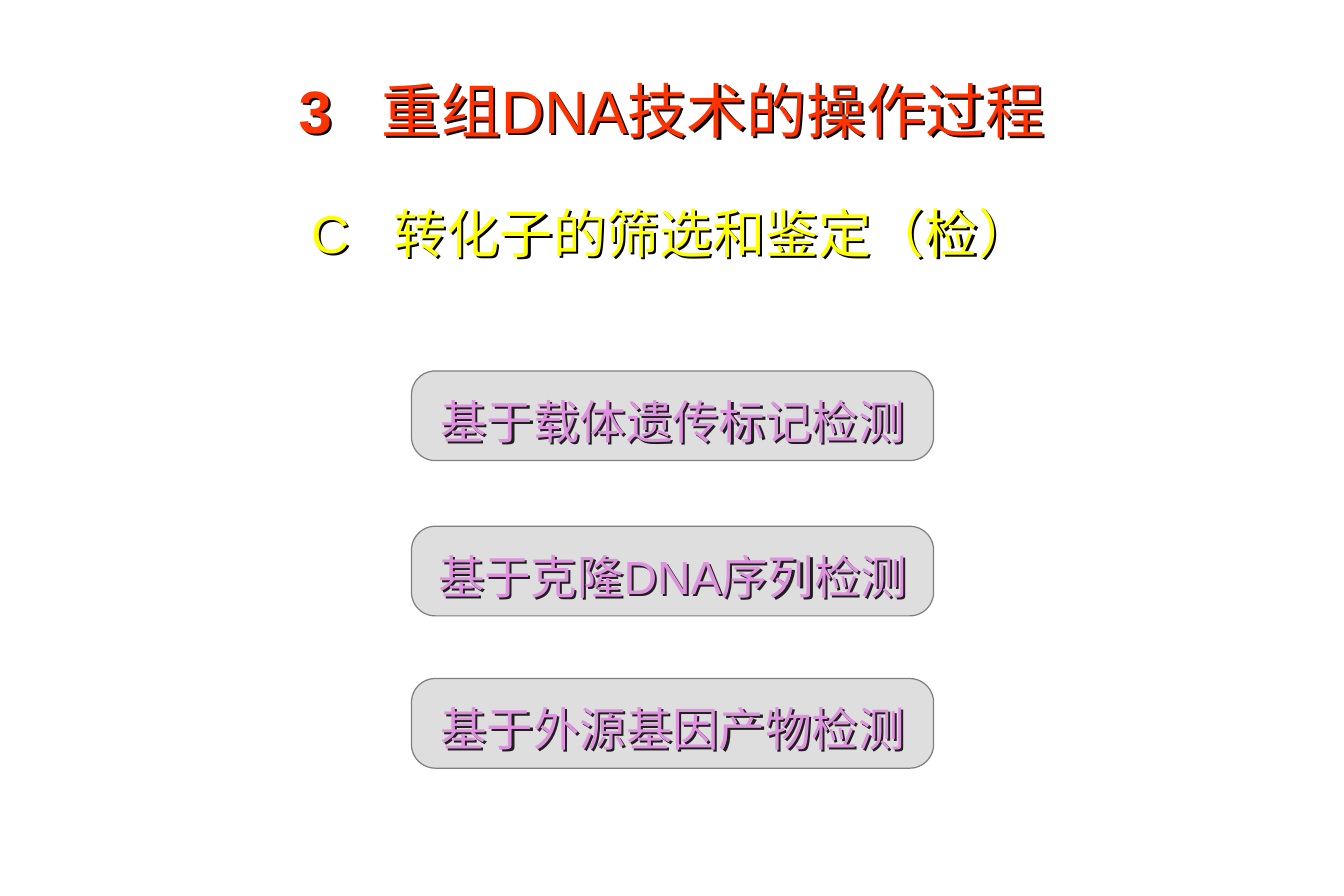
from typing import NamedTuple

from lxml import etree
from pptx import Presentation
from pptx.dml.color import RGBColor
from pptx.enum.shapes import MSO_SHAPE
from pptx.enum.text import MSO_ANCHOR, MSO_AUTO_SIZE, PP_ALIGN
from pptx.oxml.ns import qn
from pptx.util import Inches, Pt

RED = RGBColor(0xFF, 0x33, 0x00)
YELLOW = RGBColor(0xFF, 0xFF, 0x00)
PINK = RGBColor(0xFF, 0x99, 0xFF)
GREY = RGBColor(0x7F, 0x7F, 0x7F)

# Grid of 45 columns by 30 rows
CELL = Inches(0.25)
COLS, ROWS = 45, 30


class Area(NamedTuple):
    col: float
    row: float
    cols: float
    rows: float

    def emu(self) -> list[int]:
        return [round(n * CELL) for n in self]


class Run(NamedTuple):
    text: str
    font: str = "Arial"
    bold: bool = False
    tracking: float = 0  # extra letter spacing in points


class Method(NamedTuple):
    text: str
    row: float


TITLE = Area(4.16, 2.26, 36.68, 3)
SUBTITLE = Area(4.64, 6.5, 35.68, 3)
METHODS = [
    Method("基于载体遗传标记检测", 12.42),
    Method("基于克隆DNA序列检测", 17.62),
    Method("基于外源基因产物检测", 22.72),
]


def add_text_shadow(sp) -> None:
    effects = etree.SubElement(sp._element.spPr, qn("a:effectLst"))
    shadow = etree.SubElement(effects, qn("a:outerShdw"), dist="22860", dir="2700000")
    etree.SubElement(shadow, qn("a:srgbClr"), val="000000")


def write(sp, runs: list[Run], *, size: int, color: RGBColor, spacing: float = 1.0) -> None:
    sp.fill.background()
    add_text_shadow(sp)
    tf = sp.text_frame
    tf.word_wrap = True
    tf.auto_size = MSO_AUTO_SIZE.NONE
    tf.vertical_anchor = MSO_ANCHOR.TOP
    p = tf.paragraphs[0]
    p.alignment = PP_ALIGN.CENTER
    p.line_spacing = spacing
    for run in runs:
        r = p.add_run()
        r.text = run.text
        r.font.name = run.font
        r.font.bold = run.bold
        r.font.size = Pt(size)
        r.font.color.rgb = color
        if run.tracking:
            r._r.get_or_add_rPr().set("spc", str(round(run.tracking * 100)))


def add_method(slide, method: Method) -> None:
    group = slide.shapes.add_group_shape()
    # Label, behind the translucent box
    label = Area(13.86, method.row - 0.22, 17.32, 3.06)
    write(group.shapes.add_textbox(*label.emu()), [Run(method.text)],
          size=28, color=PINK, spacing=1.4)
    # Rounded box
    box = Area(13.78, method.row, 17.48, 3)
    sp = group.shapes.add_shape(MSO_SHAPE.ROUNDED_RECTANGLE, *box.emu())
    sp.shadow.inherit = False
    sp.adjustments[0] = 0.265
    sp.fill.solid()
    sp.fill.fore_color.rgb = GREY
    color = sp.fill._xPr.find(qn("a:solidFill"))[0]
    etree.SubElement(color, qn("a:alpha"), val="25000")
    sp.line.color.rgb = GREY
    sp.line.width = Pt(0.75)


def main() -> None:
    prs = Presentation()
    prs.slide_width, prs.slide_height = COLS * CELL, ROWS * CELL
    slide = prs.slides.add_slide(prs.slide_layouts[5])

    # Title and subtitle
    title = slide.shapes.title
    title.left, title.top, title.width, title.height = TITLE.emu()
    write(title, [Run("3", bold=True), Run(" ", bold=True, tracking=20),
                  Run("重组DNA技术的操作过程")], size=36, color=RED)
    subtitle = slide.shapes.add_textbox(*SUBTITLE.emu())
    write(subtitle, [Run("C"), Run(" ", tracking=17.8),
                     Run("转化子的筛选和鉴定（检）", "Times New Roman")],
          size=32, color=YELLOW)

    # Detection methods
    for method in METHODS:
        add_method(slide, method)

    prs.save("out.pptx")


if __name__ == "__main__":
    main()
